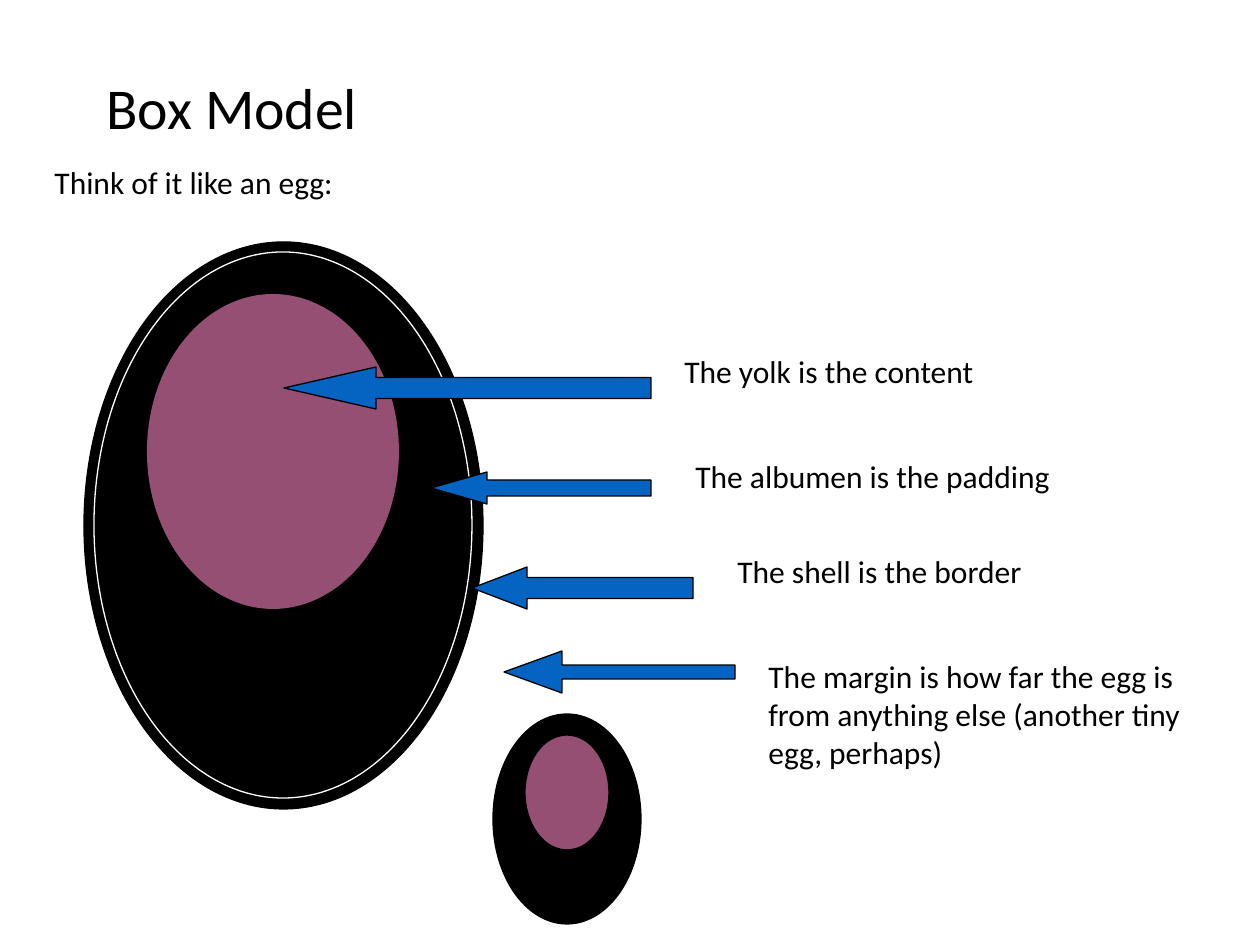
from pptx import Presentation
from pptx.dml.color import RGBColor
from pptx.enum.shapes import MSO_SHAPE
from pptx.enum.text import MSO_ANCHOR
from pptx.util import Emu, Pt

OVAL, LEFT_ARROW = MSO_SHAPE.OVAL, MSO_SHAPE.LEFT_ARROW
EMU_PER_PX = 914400 / 126
BLACK, WHITE, YOLK, BLUE = "000000", "FFFFFF", "954F72", "0563C1"

# Boxes are (left, top, width, height) in px
TITLE = ("Box Model", (94, 32, 1072, 157))
INTRO = ("Think of it like an egg:", (42, 157, 1176, 50))

# box, fill, line
BIG_EGG = [
    ((84, 242, 399, 567), BLACK, BLACK),
    ((94, 252, 378, 546), None, WHITE),
    ((147, 294, 252, 315), YOLK, None),
]
TINY_EGG = [
    ((493, 714, 148, 210), BLACK, BLACK),
    ((525, 735, 84, 115), YOLK, BLACK),
]

# arrow box, shaft thickness, head length / height, label, label box
PARTS = [
    ((284, 367, 367, 42), 0.5, 2.19, "The yolk is the content", (672, 346, 504, 50)),
    ((431, 472, 220, 32), 0.5, 1.75, "The albumen is the padding", (683, 451, 577, 50)),
    ((472, 567, 221, 42), 0.5, 1.31, "The shell is the border", (725, 546, 504, 50)),
    ((504, 651, 231, 42), 0.33, 1.38,
     "The margin is how far the egg is from anything else (another tiny egg, perhaps)",
     (756, 651, 462, 126)),
]


def px(n):
    return Emu(round(n * EMU_PER_PX))


def rgb(color):
    return RGBColor.from_string(color)


def add_text(s, text, box, size=18, anchor=MSO_ANCHOR.TOP, spacing=1.0):
    tf = s.shapes.add_textbox(*map(px, box)).text_frame
    tf.word_wrap = True
    tf.vertical_anchor = anchor
    p = tf.paragraphs[0]
    p.line_spacing = spacing
    r = p.add_run()
    r.text = text
    r.font.name, r.font.size = "Calibri", Pt(size)
    r.font.color.rgb = rgb(BLACK)


def add_shape(s, kind, box, fill, line):
    sp = s.shapes.add_shape(kind, *map(px, box))
    sp.shadow.inherit = False
    if fill:
        sp.fill.solid()
        sp.fill.fore_color.rgb = rgb(fill)
    else:
        sp.fill.background()
    if line:
        sp.line.color.rgb = rgb(line)
        sp.line.width = Pt(0.75)
    else:
        sp.line.fill.background()
    return sp


def main():
    prs = Presentation()
    prs.slide_width, prs.slide_height = px(1260), px(945)
    s = prs.slides.add_slide(prs.slide_layouts[6])

    add_text(s, *TITLE, size=33, anchor=MSO_ANCHOR.MIDDLE, spacing=0.9)
    add_text(s, *INTRO)
    for oval in BIG_EGG:
        add_shape(s, OVAL, *oval)
    for box, shaft, head, _, _ in PARTS:
        arrow = add_shape(s, LEFT_ARROW, box, BLUE, BLACK)
        arrow.adjustments[0], arrow.adjustments[1] = shaft, head
    for _, _, _, label, label_box in PARTS:
        add_text(s, label, label_box)
    for oval in TINY_EGG:
        add_shape(s, OVAL, *oval)

    prs.save("out.pptx")


if __name__ == "__main__":
    main()
